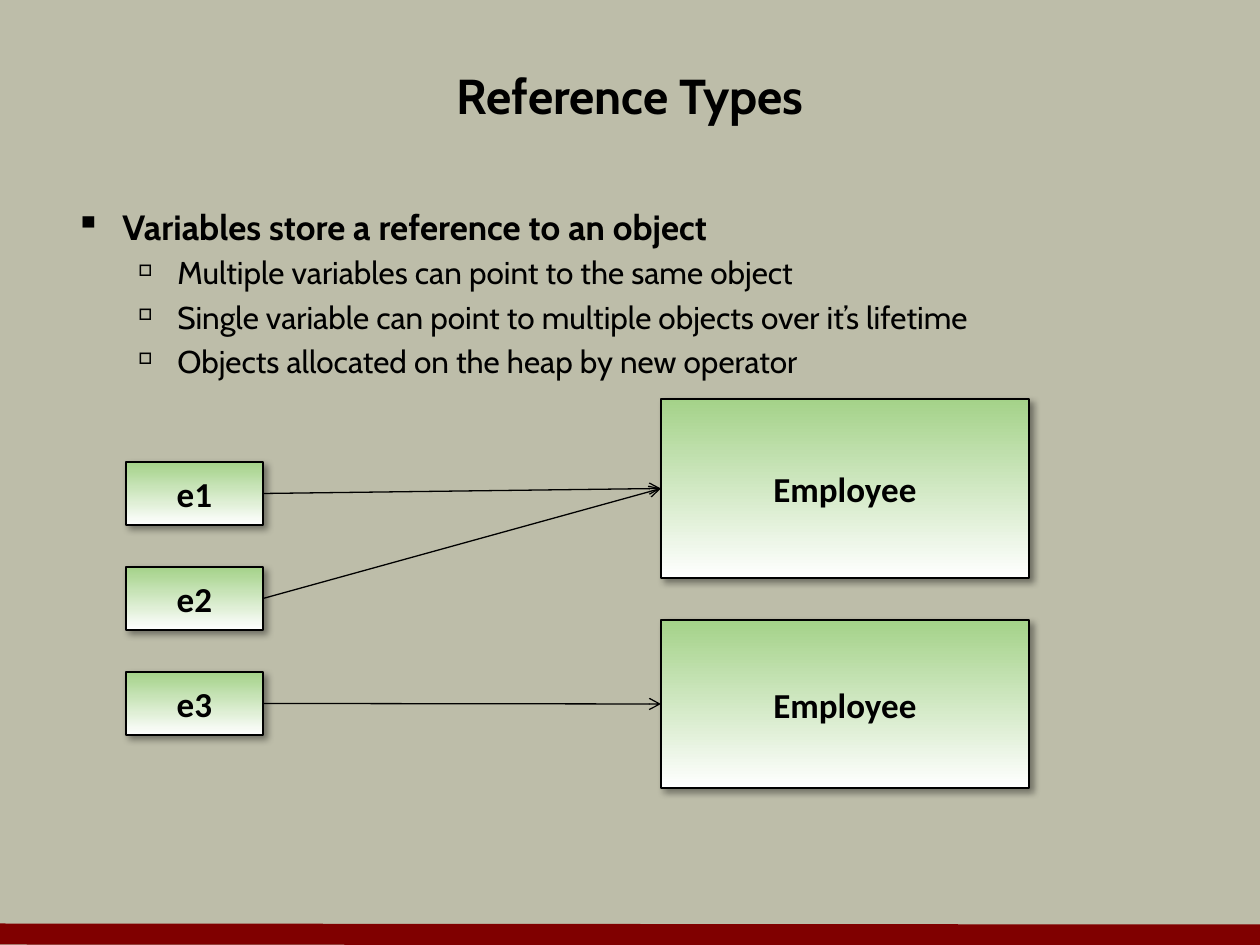
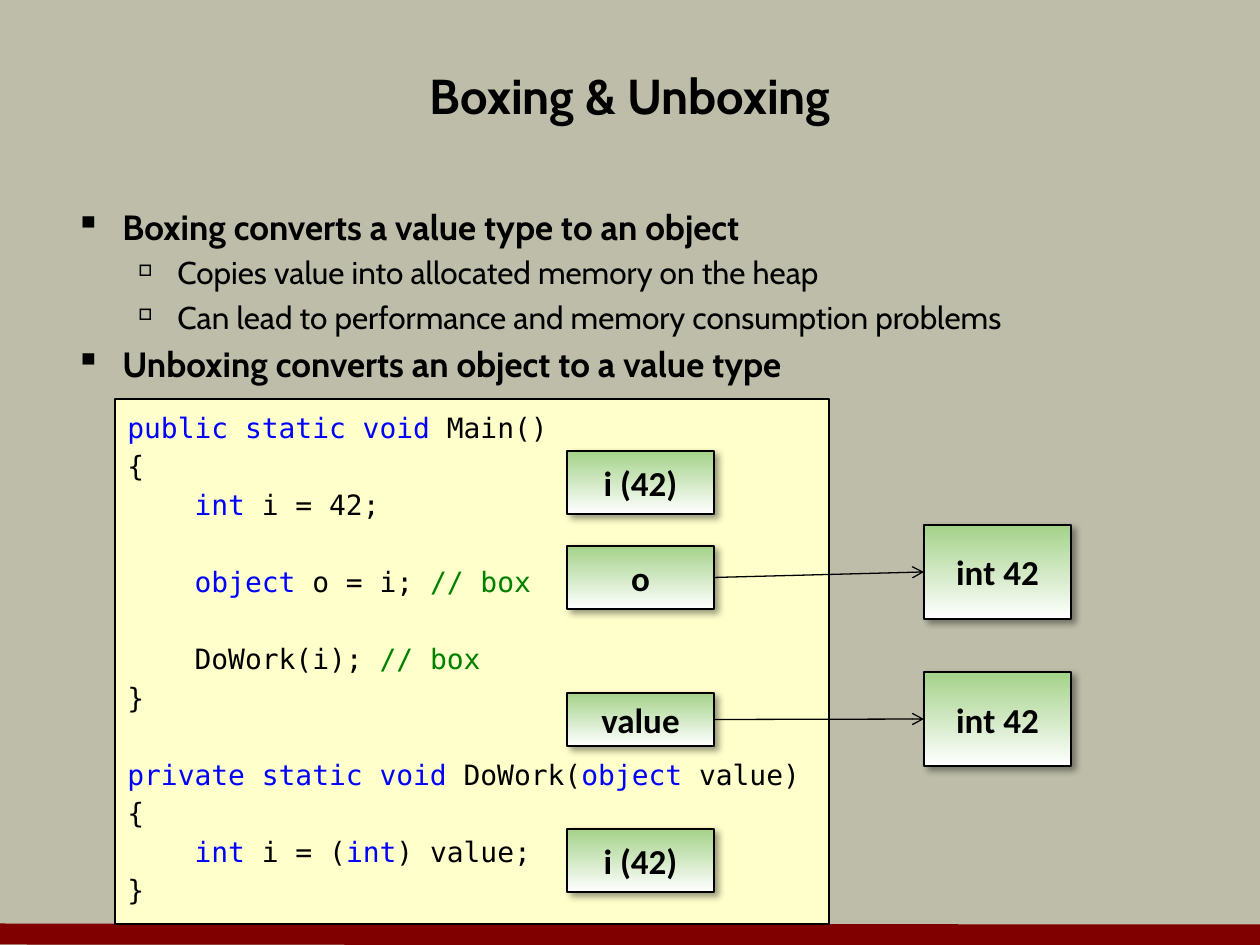
"""Builds two slides on reference types and on boxing."""
import pptx
import pptx.util
import pptx.dml.color
import pptx.enum.shapes
import pptx.enum.text
import pptx.oxml
from lxml import etree

C = {"back": "BDBDA9", "band": "800000", "ink": "000000", "leaf": "A4D289",
     "white": "FFFFFF", "code": "FFFFCC", "key": "0000FF", "note": "008000"}
RGB = {name: pptx.dml.color.RGBColor.from_string(c) for name, c in C.items()}
NS = 'xmlns:a="http://schemas.openxmlformats.org/drawingml/2006/main"'
A = "{http://schemas.openxmlformats.org/drawingml/2006/main}"
SHADOW = (f'<a:effectLst {NS}><a:outerShdw blurRad="50800" dist="38100" dir="2700000" '
          f'algn="tl" rotWithShape="0"><a:srgbClr val="{C["ink"]}"><a:alpha val="40000"/>'
          '</a:srgbClr></a:outerShdw></a:effectLst>')
ALIGN = pptx.enum.text.PP_ALIGN
ANCHOR = pptx.enum.text.MSO_ANCHOR
RECT = pptx.enum.shapes.MSO_SHAPE.RECTANGLE
STRAIGHT = pptx.enum.shapes.MSO_CONNECTOR.STRAIGHT
LEVELS = [dict(mark="▪", scale=100, left=47, hang=47, size=20, bold=True),
          dict(mark="□", scale=50, left=102, hang=39, size=18, bold=False)]
LINE_PITCH = 22

SLIDES = [
    {"title": "Reference Types",
     "body": [(0, "Variables store a reference to an object"),
              (1, "Multiple variables can point to the same object"),
              (1, "Single variable can point to multiple objects over it’s lifetime"),
              (1, "Objects allocated on the heap by new operator")],
     "code": [],
     "boxes": [("e1", 126, 462, 137, 63), ("e2", 126, 567, 137, 63),
               ("e3", 126, 672, 137, 63), ("Employee", 661, 399, 368, 179),
               ("Employee", 661, 620, 368, 168)],
     "links": [(0, 3), (1, 3), (2, 4)]},
    {"title": "Boxing & Unboxing",
     "body": [(0, "Boxing converts a value type to an object"),
              (1, "Copies value into allocated memory on the heap"),
              (1, "Can lead to performance and memory consumption problems"),
              (0, "Unboxing converts an object to a value type")],
     "code": [(0, [("public static void", "key"), (" Main()", "ink")]),
              (0, [("{", "ink")]),
              (0, [("    int ", "key"), ("i = 42;", "ink")]),
              (1, [("    object", "key"), (" o = i; ", "ink"), ("// box", "note")]),
              (1, [("    DoWork(i); ", "ink"), ("// box", "note")]),
              (0, [("}", "ink")]),
              (1, [("private static void ", "key"), ("DoWork(", "ink"),
                   ("object", "key"), (" value)", "ink")]),
              (0, [("{", "ink")]),
              (0, [("    int ", "key"), ("i = (", "ink"), ("int", "key"),
                   (") value;", "ink")]),
              (0, [("}", "ink")])],
     "boxes": [("i (42)", 567, 451, 147, 63), ("o", 567, 546, 147, 63),
               ("value", 567, 693, 147, 53), ("i (42)", 567, 829, 147, 63),
               ("int 42", 924, 525, 147, 94), ("int 42", 924, 672, 147, 94)],
     "links": [(1, 4), (2, 5)]},
]


def px(*lengths):
    return [pptx.util.Emu(round(n * 914400 / 126)) for n in lengths]


def write(p, text, font="Cabin", size=20, bold=False, color="ink", align=ALIGN.LEFT):
    p.alignment = align
    r = p.add_run()
    r.text = text
    r.font.name = font
    r.font.size = pptx.util.Pt(size)
    r.font.bold = bold
    r.font.color.rgb = RGB[color]


prs = pptx.Presentation()
prs.slide_width, prs.slide_height = px(1260, 945)

for page in SLIDES:
    s = prs.slides.add_slide(prs.slide_layouts[6])
    s.background.fill.solid()
    s.background.fill.fore_color.rgb = RGB["back"]

    band = s.shapes.add_connector(STRAIGHT, *px(0, 934, 1260, 935))
    band.line.color.rgb = RGB["band"]
    band.line.width = pptx.util.Pt(12)
    etree.SubElement(band._element.spPr, A + "effectLst")

    tf = s.shapes.add_textbox(*px(63, 42, 1134, 105)).text_frame
    tf.word_wrap = True
    tf.vertical_anchor = ANCHOR.MIDDLE
    write(tf.paragraphs[0], page["title"], size=28, bold=True, align=ALIGN.CENTER)

    tf = s.shapes.add_textbox(*px(63, 199, 1134, 620)).text_frame
    tf.word_wrap = True
    for i, (level, text) in enumerate(page["body"]):
        p = tf.add_paragraph() if i else tf.paragraphs[0]
        style = LEVELS[level]
        p.level = level
        pPr = p._p.get_or_add_pPr()
        left, hang = px(style["left"], style["hang"])
        pPr.set("marL", str(left))
        pPr.set("indent", str(-hang))
        etree.SubElement(pPr, A + "buSzPct", val=str(style["scale"] * 1000))
        etree.SubElement(pPr, A + "buChar", char=style["mark"])
        if i:
            p.space_before = pptx.util.Pt(style["size"] * 0.2)
        write(p, text, size=style["size"], bold=style["bold"])

    if page["code"]:
        sp = s.shapes.add_shape(RECT, *px(115, 399, 714, 525))
        sp.shadow.inherit = False
        sp.fill.solid()
        sp.fill.fore_color.rgb = RGB["code"]
        sp.line.color.rgb = RGB["ink"]
        sp.line.width = pptx.util.Pt(0.75)
        tf = sp.text_frame
        tf.word_wrap = True
        tf.vertical_anchor = ANCHOR.TOP
        for i, (gap, runs) in enumerate(page["code"]):
            p = tf.add_paragraph() if i else tf.paragraphs[0]
            p.line_spacing = 1.15
            if gap:
                p.space_before = pptx.util.Pt(gap * LINE_PITCH)
            for text, color in runs:
                write(p, text, font="DejaVu Sans Mono", size=16, color=color)

    boxes = []
    for text, *place in page["boxes"]:
        sp = s.shapes.add_shape(RECT, *px(*place))
        sp.fill.gradient()
        sp.fill.gradient_angle = 270
        for stop, color in zip(sp.fill.gradient_stops, ("leaf", "white")):
            stop.color.rgb = RGB[color]
        sp.line.color.rgb = RGB["ink"]
        sp.line.width = pptx.util.Pt(0.75)
        sp._element.spPr.append(pptx.oxml.parse_xml(SHADOW))
        sp.text_frame.word_wrap = False
        sp.text_frame.vertical_anchor = ANCHOR.MIDDLE
        write(sp.text_frame.paragraphs[0], text, font="Calibri", bold=True,
              align=ALIGN.CENTER)
        boxes.append(sp)

    for start, end in page["links"]:
        link = s.shapes.add_connector(STRAIGHT, 0, 0, 0, 0)
        link.begin_connect(boxes[start], 3)
        link.end_connect(boxes[end], 1)
        link.line.color.rgb = RGB["ink"]
        link.line.width = pptx.util.Pt(0.75)
        etree.SubElement(link.line._get_or_add_ln(), A + "tailEnd", type="arrow")
        etree.SubElement(link._element.spPr, A + "effectLst")

prs.save("out.pptx")
